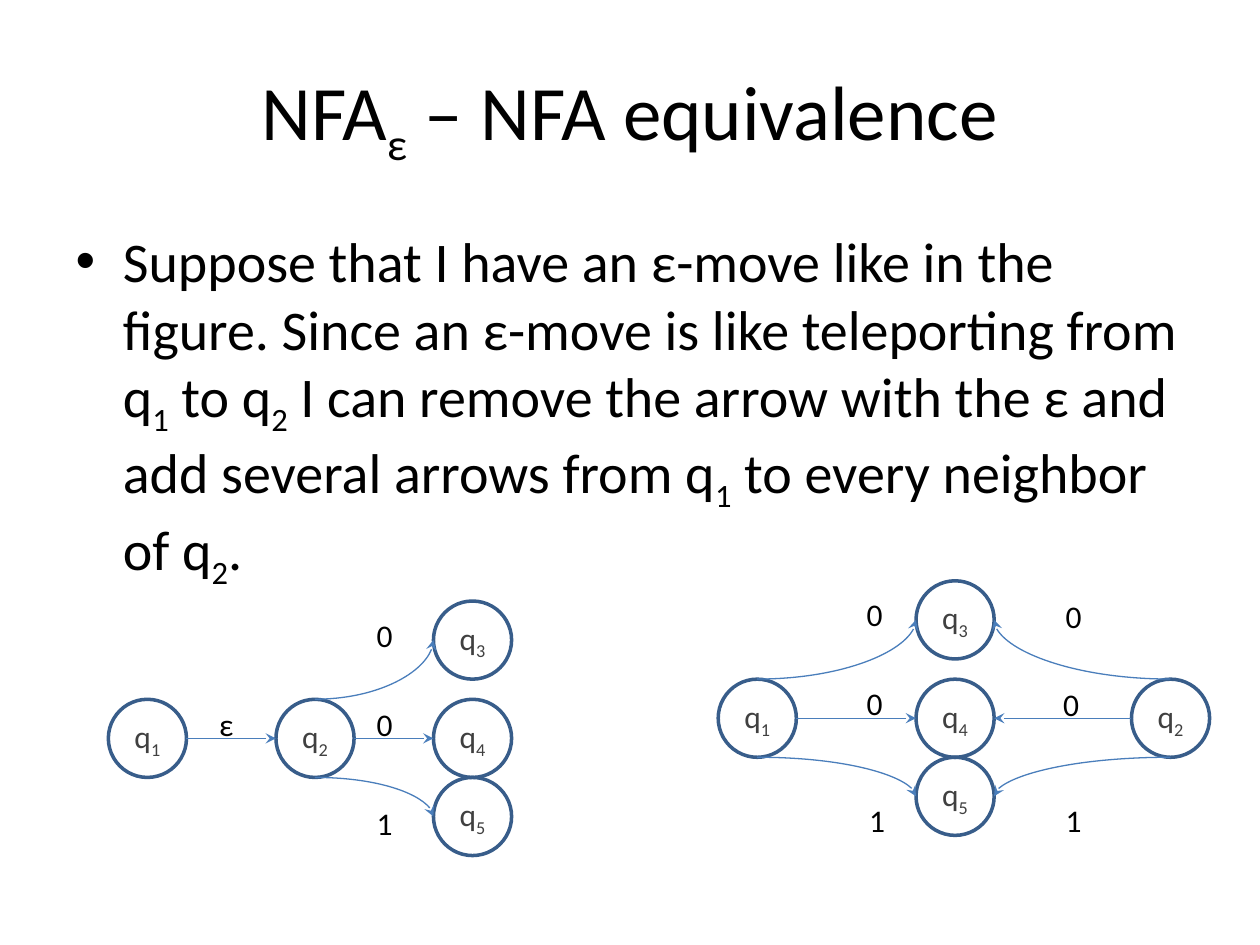
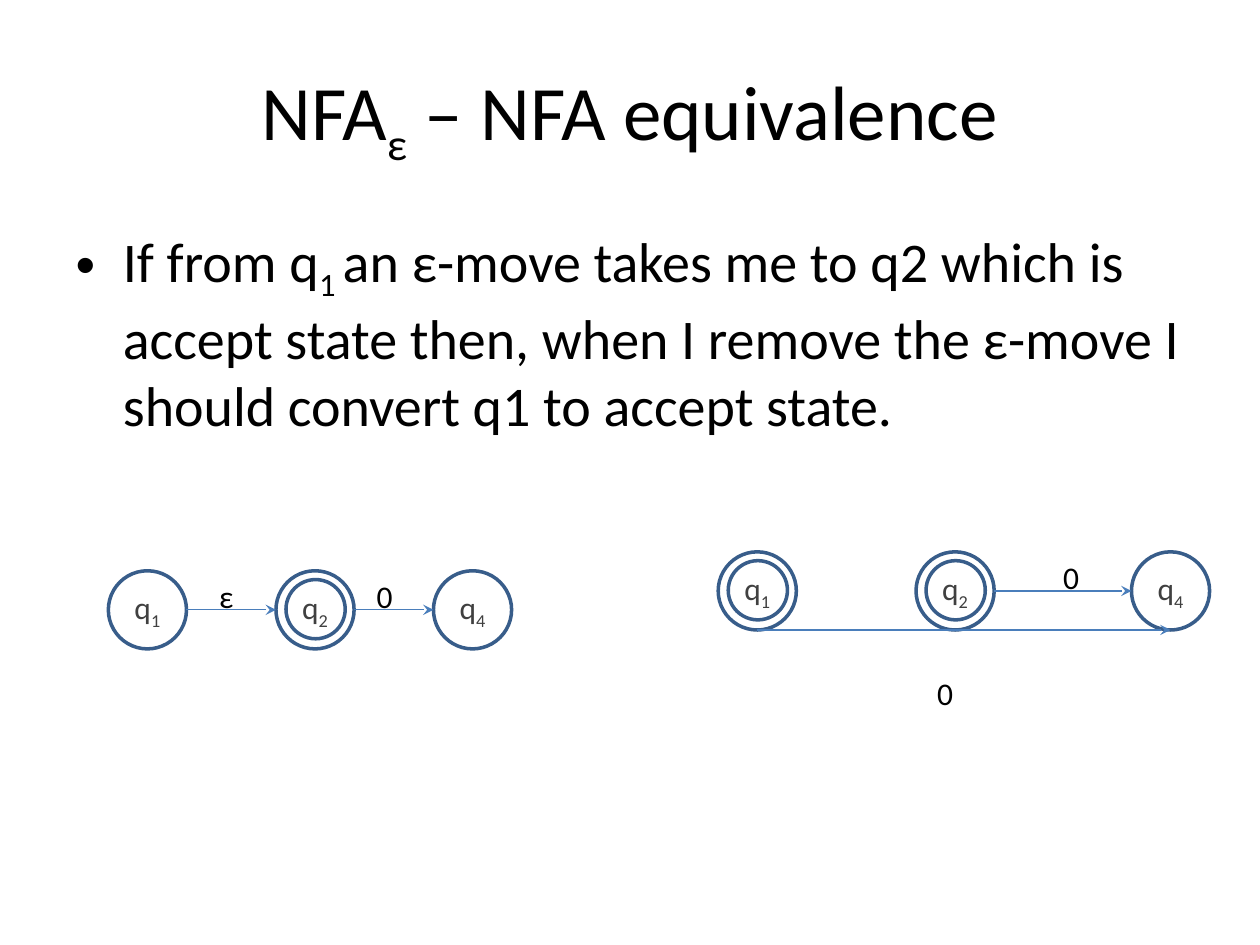
import pptx
import pptx.util
import pptx.dml.color
import pptx.enum.shapes
import pptx.enum.text
import pptx.oxml.ns
from lxml import etree

PX = 9144  # EMU per px, 100 px to the inch
COLORS = {"text": "000000", "state_text": "404040", "state": "385D8A", "arrow": "4A7EBB"}
FONT = "Calibri"
TITLE = "NFA|ε| – NFA equivalence"
STATE_SIZE = 62
ACCEPT_SIZE = 47
# Where each side of a state sits, as a share of its width and height
SIDES = {"left": (0, 0.5), "right": (1, 0.5), "top": (0.5, 0), "bottom": (0.5, 1)}
# Columns of the diagrams before and after removing the ε-move
BEFORE = (86, 219, 344)
AFTER = (570, 727, 898)


def px(*lengths):
    return [pptx.util.Emu(length * PX) for length in lengths]


def color(name):
    return pptx.dml.color.RGBColor.from_string(COLORS[name])


class Deck:
    def __init__(self, presentation):
        self.presentation = presentation
        self.slide = None

    def set_text(self, frame, text, size, color_name="text", align=None):
        """Fill one paragraph; parts between bars are subscripts."""
        paragraph = frame.paragraphs[0]
        paragraph.alignment = align
        paragraph.font.name = FONT
        paragraph.font.size = pptx.util.Pt(size)
        paragraph.font.color.rgb = color(color_name)
        for index, part in enumerate(text.split("|")):
            if part:
                run = paragraph.add_run()
                run.text = part
                if index % 2:
                    run._r.get_or_add_rPr().set("baseline", "-25000")

    def placeholder(self, shape, box, text, size, align=None):
        shape.left, shape.top, shape.width, shape.height = px(*box)
        shape.text_frame.auto_size = pptx.enum.text.MSO_AUTO_SIZE.NONE
        self.set_text(shape.text_frame, text, size, align=align)

    def add_slide(self, body):
        self.slide = self.presentation.slides.add_slide(self.presentation.slide_layouts[1])
        title, content = self.slide.placeholders
        self.placeholder(title, (50, 30, 900, 125), TITLE, 44, pptx.enum.text.PP_ALIGN.CENTER)
        self.placeholder(content, (50, 175, 900, 495), body, 32)

    def circle(self, left, top, size):
        shape = self.slide.shapes.add_shape(
            pptx.enum.shapes.MSO_SHAPE.OVAL, *px(left, top, size, size))
        shape.shadow.inherit = False
        shape.fill.background()
        shape.line.color.rgb = color("state")
        shape.line.width = pptx.util.Pt(2)
        return shape

    def state(self, number, left, top, accept=False):
        shape = self.circle(left, top, STATE_SIZE)
        shape.text_frame.vertical_anchor = pptx.enum.text.MSO_ANCHOR.MIDDLE
        self.set_text(shape.text_frame, f"q|{number}|", 18, "state_text",
                      pptx.enum.text.PP_ALIGN.CENTER)
        if accept:
            self.circle(left + 8, top + 7, ACCEPT_SIZE)
        return shape

    def label(self, text, left, top):
        box = self.slide.shapes.add_textbox(*px(left, top, 33, 40))
        box.text_frame.word_wrap = False
        box.text_frame.auto_size = pptx.enum.text.MSO_AUTO_SIZE.SHAPE_TO_FIT_TEXT
        self.set_text(box.text_frame, text, 18)

    def arrow(self, source, source_side, target, target_side, preset="line"):
        ends = []
        for shape, side in ((source, source_side), (target, target_side)):
            across, down = SIDES[side]
            ends += [int(shape.left + across * shape.width), int(shape.top + down * shape.height)]
        connector = self.slide.shapes.add_connector(
            pptx.enum.shapes.MSO_CONNECTOR.STRAIGHT, *ends)
        connector.line.color.rgb = color("arrow")
        connector.line.width = pptx.util.Pt(0.75)
        qn = pptx.oxml.ns.qn
        properties = connector._element.spPr
        properties.find(qn("a:prstGeom")).set("prst", preset)
        etree.SubElement(properties.find(qn("a:ln")), qn("a:tailEnd"), type="stealth")
        etree.SubElement(properties, qn("a:effectLst"))

    def neighbors(self, left, top):
        """Stack q3, q4 and q5 around the row at the given top."""
        return [self.state(number, left, top + offset)
                for number, offset in ((3, -78), (4, 0), (5, STATE_SIZE))]

    def fan_out(self, source, targets, side, target_side):
        upper, middle, lower = targets
        self.arrow(source, "top", upper, target_side, "curvedConnector2")
        self.arrow(source, side, middle, target_side)
        self.arrow(source, "bottom", lower, target_side, "curvedConnector2")


def replace_move_slide(deck):
    deck.add_slide("Suppose that I have an ε-move like in the figure. Since an ε-move is like "
                   "teleporting from q|1| to q|2| I can remove the arrow with the ε and add "
                   "several arrows from q|1| to every neighbor of q|2|.")
    # With the ε-move
    row = 555
    q1, q2 = [deck.state(number, left, row) for number, left in zip((1, 2), BEFORE)]
    deck.arrow(q1, "right", q2, "left")
    deck.fan_out(q2, deck.neighbors(BEFORE[2], row), "right", "left")

    # Without the ε-move
    row = 539
    q1, q2 = deck.state(1, AFTER[0], row), deck.state(2, AFTER[2], row)
    targets = deck.neighbors(AFTER[1], row)
    deck.fan_out(q1, targets, "right", "left")
    deck.fan_out(q2, targets, "left", "right")

    # Symbols on the arrows
    for text, left, top in (("ε", 164, 555), ("0", 289, 484), ("0", 289, 555), ("1", 289, 633),
                            ("0", 678, 467), ("0", 678, 538), ("1", 680, 631),
                            ("0", 836, 469), ("0", 834, 539), ("1", 836, 631)):
        deck.label(text, left, top)


def accept_state_slide(deck):
    deck.add_slide("If from q|1 |an ε-move takes me to q2 which is accept state then, "
                   "when I remove the ε-move I should convert q1 to accept state.")
    # Before: only q2 accepts; after: q1 accepts too
    for columns, row, accepting in ((BEFORE, 453, (2,)), (AFTER, 438, (1, 2))):
        q1, q2, q4 = [deck.state(number, left, row, number in accepting)
                      for number, left in zip((1, 2, 4), columns)]
        deck.arrow(q2, "right", q4, "left")
        if columns == BEFORE:
            deck.arrow(q1, "right", q2, "left")
        else:
            deck.arrow(q1, "bottom", q4, "bottom", "curvedConnector3")

    # Symbols on the arrows
    for text, left, top in (("ε", 164, 453), ("0", 289, 453), ("0", 834, 438), ("0", 734, 530)):
        deck.label(text, left, top)


def main():
    presentation = pptx.Presentation()
    presentation.slide_width, presentation.slide_height = px(1000, 750)
    deck = Deck(presentation)
    replace_move_slide(deck)
    accept_state_slide(deck)
    presentation.save("out.pptx")


if __name__ == "__main__":
    main()
